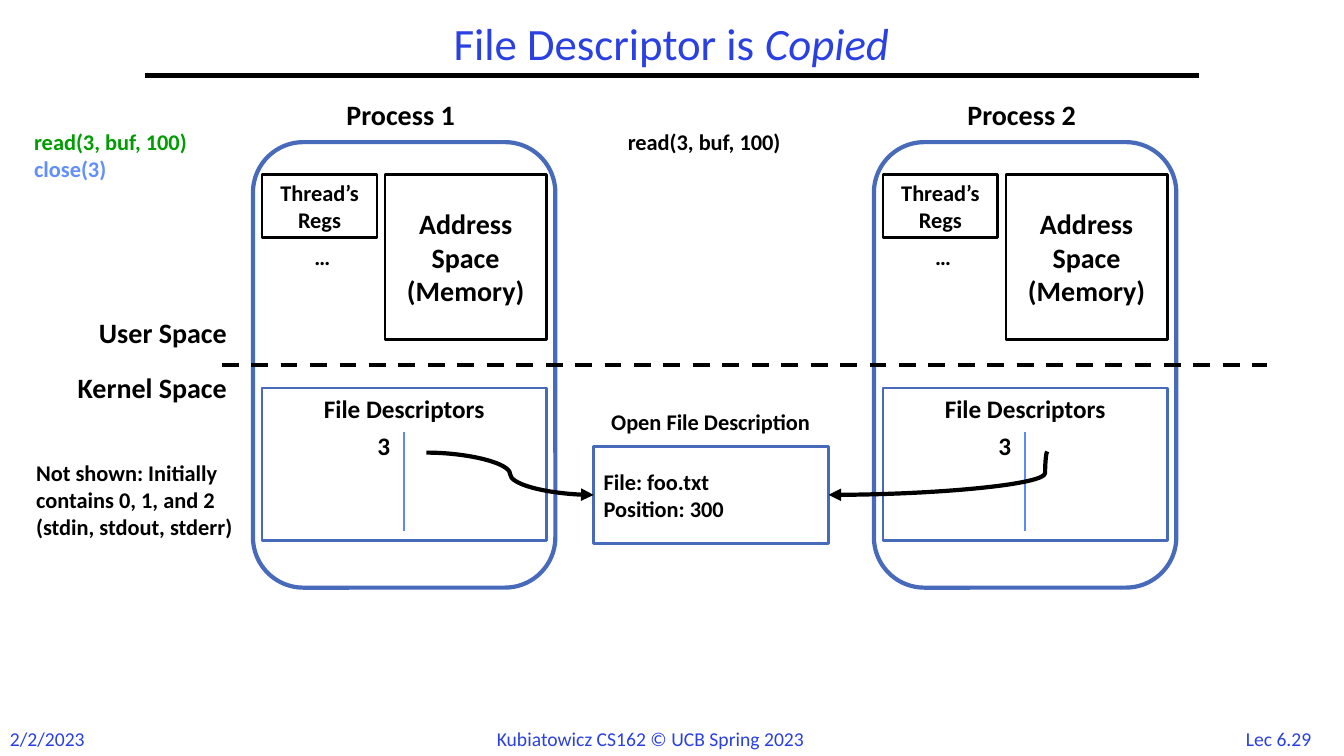
from dataclasses import dataclass
from typing import Optional

from lxml.etree import SubElement
from pptx import Presentation
from pptx.dml.color import RGBColor
from pptx.enum.dml import MSO_LINE as Dash
from pptx.enum.shapes import MSO_CONNECTOR as Link, MSO_SHAPE as Shape
from pptx.enum.text import MSO_ANCHOR as Anchor, MSO_AUTO_SIZE as Fit, PP_ALIGN as Align
from pptx.oxml.ns import qn
from pptx.util import Inches, Pt

# Grid of square cells, ten to the inch
COLS, ROWS = 133.33, 75


@dataclass(frozen=True)
class Theme:
    font: str = "Calibri"
    black: str = "000000"
    white: str = "FFFFFF"
    title: str = "2A40E2"
    frame: str = "486ABB"
    divider: str = "5B8AFB"
    read: str = "009D00"
    close: str = "618FFD"
    title_pt: int = 32
    head_pt: int = 20
    table_pt: int = 18
    body_pt: int = 16
    footer_pt: int = 14


T = Theme()


@dataclass(frozen=True)
class Run:
    text: str
    color: str = T.black
    bold: bool = True
    italic: bool = False


@dataclass(frozen=True)
class Label:
    x: float
    y: float
    w: float
    h: float
    lines: tuple[Run, ...]
    size: int = T.body_pt
    align: Align = Align.LEFT
    wrap: bool = False


@dataclass(frozen=True)
class Panel:
    x: float
    y: float
    w: float
    h: float
    lines: tuple[str, ...] = ()
    size: int = T.body_pt
    color: str = T.black
    width: float = 2
    align: Align = Align.CENTER
    anchor: Anchor = Anchor.MIDDLE
    rounded: bool = False


@dataclass(frozen=True)
class Line:
    x1: float
    y1: float
    x2: float
    y2: float
    color: str = T.black
    width: float = 3
    dashed: bool = False
    curved: bool = False
    bend: Optional[int] = None  # thousandths of a percent along the curve


def cell(n: float) -> int:
    return Inches(n / 10)


def add_run(p, run: Run, size: int) -> None:
    r = p.add_run()
    r.text = run.text
    f = r.font
    f.name, f.size, f.bold, f.italic = T.font, Pt(size), run.bold, run.italic
    f.color.rgb = RGBColor.from_string(run.color)


def write(tf, lines: tuple[Run, ...], size: int, align: Align) -> None:
    for i, run in enumerate(lines):
        p = tf.add_paragraph() if i else tf.paragraphs[0]
        p.alignment = align
        add_run(p, run, size)


def draw_label(s, b: Label) -> None:
    tf = s.shapes.add_textbox(cell(b.x), cell(b.y), cell(b.w), cell(b.h)).text_frame
    tf.word_wrap, tf.auto_size = b.wrap, Fit.SHAPE_TO_FIT_TEXT
    write(tf, b.lines, b.size, b.align)


def draw_panel(s, b: Panel, dx: float = 0) -> None:
    kind = Shape.ROUNDED_RECTANGLE if b.rounded else Shape.RECTANGLE
    sp = s.shapes.add_shape(kind, cell(b.x + dx), cell(b.y), cell(b.w), cell(b.h))
    sp.shadow.inherit = False
    if b.rounded:
        sp.fill.background()
    else:
        sp.fill.solid()
        sp.fill.fore_color.rgb = RGBColor.from_string(T.white)
    sp.line.color.rgb = RGBColor.from_string(b.color)
    sp.line.width = Pt(b.width)
    tf = sp.text_frame
    tf.word_wrap, tf.vertical_anchor = True, b.anchor
    write(tf, tuple(Run(t) for t in b.lines), b.size, b.align)


def draw_line(s, n: Line, dx: float = 0) -> None:
    c = s.shapes.add_connector(Link.CURVE if n.curved else Link.STRAIGHT,
                               cell(n.x1 + dx), cell(n.y1), cell(n.x2 + dx), cell(n.y2))
    c.line.color.rgb = RGBColor.from_string(n.color)
    c.line.width = Pt(n.width)
    if n.dashed:
        c.line.dash_style = Dash.DASH
    if n.curved:
        SubElement(c.line._get_or_add_ln(), qn("a:tailEnd"), type="triangle")
    if n.bend is not None:
        guides = c._element.spPr.find(qn("a:prstGeom")).get_or_add_avLst()
        SubElement(guides, qn("a:gd"), name="adj1", fmla=f"val {n.bend}")
    SubElement(c._element.spPr, qn("a:effectLst"))


def draw_title(s) -> None:
    sp = s.shapes.title
    sp.left, sp.top, sp.width, sp.height = cell(14.4), cell(1.7), cell(104.4), cell(5.8)
    tf = sp.text_frame
    tf.word_wrap, tf.auto_size, tf.vertical_anchor = True, Fit.NONE, Anchor.MIDDLE
    p = tf.paragraphs[0]
    p.alignment, p.line_spacing = Align.CENTER, 0.9
    add_run(p, Run("File Descriptor is ", T.title, False), T.title_pt)
    add_run(p, Run("Copied", T.title, False, True), T.title_pt)


# One process, placed at the first process's columns
PROCESS_STEP = 61.6
PROCESS_PANELS = (
    Panel(25.1, 14.1, 30, 44.2, color=T.frame, width=3, rounded=True),
    Panel(38.2, 17.3, 16, 16.4, ("Address Space (Memory)",), T.head_pt),
    Panel(26, 17.3, 11.4, 6.3, ("Thread’s Regs",)),
    Panel(26, 38.5, 28.2, 15.1, ("File Descriptors",), T.table_pt, T.frame,
          anchor=Anchor.TOP),
)
TABLE_DIVIDER = Line(40.1, 42.9, 40.1, 52.7, T.divider, 1.5)

LABELS = (
    Label(6.2, 30.8, 17.3, 4.4, (Run("User Space"),), T.head_pt, Align.RIGHT),
    Label(3.7, 36.3, 19.8, 4.4, (Run("Kernel Space"),), T.head_pt, Align.RIGHT),
    Label(2.6, 45.1, 22.1, 11.8,
          (Run("Not shown: Initially contains 0, 1, and 2 (stdin, stdout, stderr)"),), wrap=True),
    Label(57.9, 40, 25.2, 3.7, (Run("Open File Description"),), align=Align.CENTER),
    Label(2.4, 12.2, 19.3, 6.4, (Run("read(3, buf, 100)", T.read), Run("close(3)", T.close))),
    Label(61.3, 12.2, 19.3, 3.7, (Run("read(3, buf, 100)"),)),
)
FOOTERS = (
    Label(0, 71.6, 9.6, 3.4, (Run("2/2/2023", T.title, False),), T.footer_pt),
    Label(48.3, 71.6, 36.8, 3.4,
          (Run("Kubiatowicz CS162 © UCB Spring 2023", T.title, False),), T.footer_pt),
    Label(122, 71.6, 9.7, 3.4, (Run("Lec 6.29", T.title, False),), T.footer_pt, Align.CENTER),
)
FILE_PANEL = Panel(58.9, 44.3, 23.3, 9.6, ("File: foo.txt", "Position: 300"),
                   color=T.frame, align=Align.LEFT)
LINES = (
    Line(14.4, 7.5, 118.9, 7.5),
    Line(22, 36.2, 125.7, 36.2, dashed=True),
    Line(42.3, 44.9, 58.9, 49.1, curved=True),
    Line(103.9, 44.8, 82.2, 49.1, curved=True, bend=1000),
)


def draw_process(s, number: int) -> None:
    dx = (number - 1) * PROCESS_STEP
    for panel in PROCESS_PANELS:
        draw_panel(s, panel, dx)
    draw_line(s, TABLE_DIVIDER, dx)
    draw_label(s, Label(32.1 + dx, 9.2, 15.3, 4.4, (Run(f"Process {number}"),),
                        T.head_pt, Align.CENTER))
    draw_label(s, Label(36.3 + dx, 42.2, 3.4, 4, (Run("3"),), T.table_pt, Align.RIGHT))
    draw_label(s, Label(30.2 + dx, 23.6, 4.3, 3.7, (Run("…"),)))


def main() -> None:
    prs = Presentation()
    prs.slide_width, prs.slide_height = cell(COLS), cell(ROWS)
    s = prs.slides.add_slide(prs.slide_layouts[5])
    draw_title(s)
    # Processes and the shared open file
    for number in (1, 2):
        draw_process(s, number)
    draw_panel(s, FILE_PANEL)
    # Rule, space boundary and arrows
    for line in LINES:
        draw_line(s, line)
    # Captions and footer
    for label in LABELS + FOOTERS:
        draw_label(s, label)
    prs.save("out.pptx")


if __name__ == "__main__":
    main()
